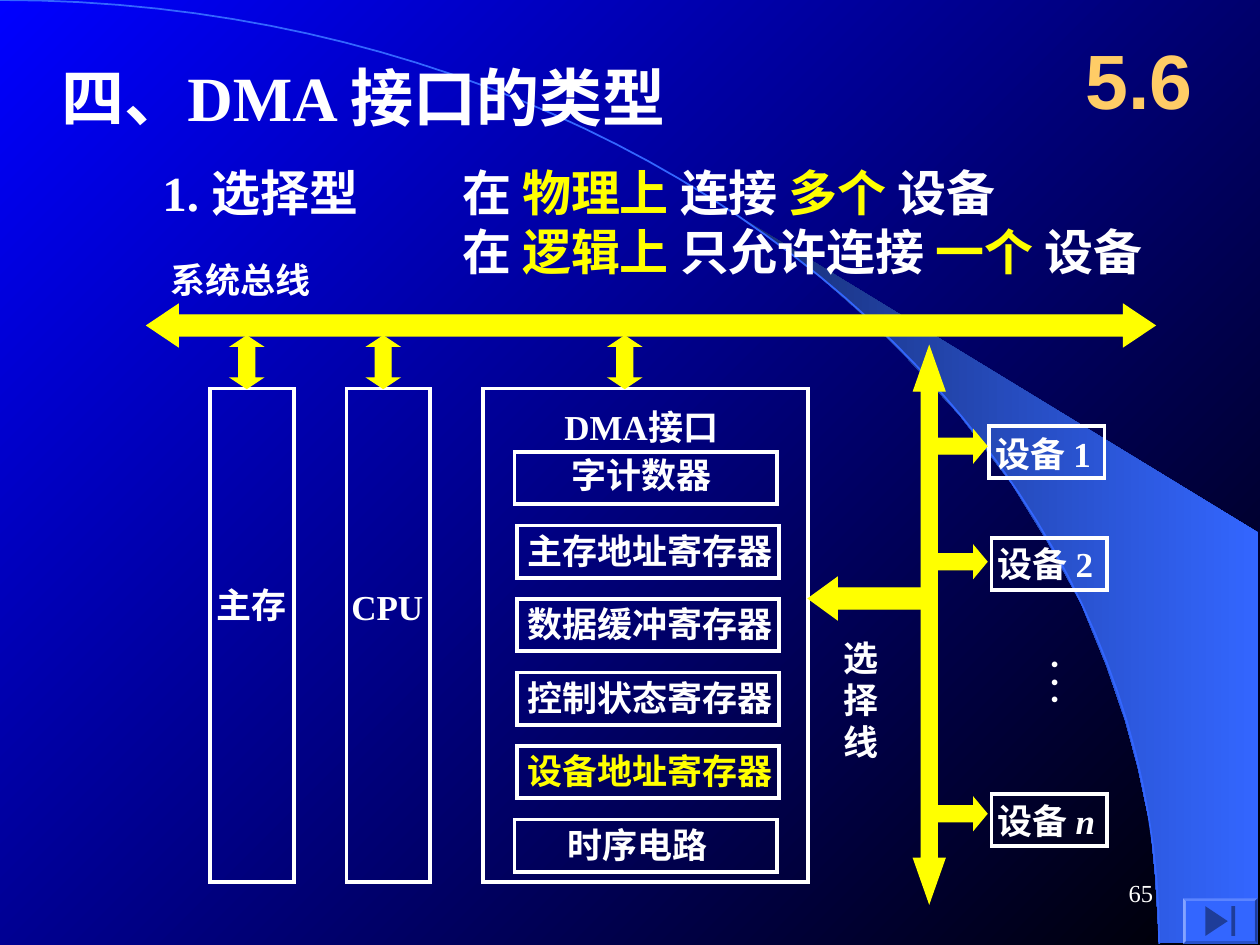
"""Build the slide on the selector type of DMA interface."""
from lxml import etree
from pptx import Presentation
from pptx.dml.color import RGBColor
from pptx.enum.shapes import MSO_SHAPE
from pptx.enum.text import MSO_ANCHOR, MSO_AUTO_SIZE, PP_ALIGN
from pptx.oxml.ns import qn
from pptx.util import Pt

RECT, BEVEL = MSO_SHAPE.RECTANGLE, MSO_SHAPE.BEVEL
LEFT_RIGHT, UP_DOWN = MSO_SHAPE.LEFT_RIGHT_ARROW, MSO_SHAPE.UP_DOWN_ARROW
LEFT, RIGHT = MSO_SHAPE.LEFT_ARROW, MSO_SHAPE.RIGHT_ARROW
END_BUTTON = MSO_SHAPE.ACTION_BUTTON_END
MIDDLE = MSO_ANCHOR.MIDDLE
AL_LEFT, AL_CENTER, AL_RIGHT = PP_ALIGN.LEFT, PP_ALIGN.CENTER, PP_ALIGN.RIGHT
GROW = MSO_AUTO_SIZE.SHAPE_TO_FIT_TEXT

WHITE, YELLOW, BLUE, GOLD = "FFFFFF", "FFFF00", "3366FF", "FFCC66"
SERIF = "Times New Roman"

BAND = [(662.4, 538.6), (719.3, 539.3), (719.3, 304.6), (424.1, 124.6),
        (449.3, 143.3), (470.2, 159.8), (493.2, 180), (515.5, 201.6),
        (548.6, 237.6), (578.2, 276.5), (599, 310.3), (617.8, 344.9),
        (632.2, 380.2), (643, 411.8), (650.2, 438.5), (657.4, 472.3),
        (660.2, 501.1)]
ARC = [(0, 0), (365.8, 0), (662.4, 241.2), (662.4, 539.3)]

SUMMARY = [
    [("在 ", WHITE), ("物理上 ", YELLOW), ("连接 ", WHITE),
     ("多个 ", YELLOW), ("设备", WHITE)],
    [("在 ", WHITE), ("逻辑上 ", YELLOW), ("只允许连接 ", WHITE),
     ("一个 ", YELLOW), ("设备", WHITE)],
]
LABELS = [
    (["四、DMA 接口的类型"], 28, 30.2, 382, 50.4, 36),
    (["1. 选择型"], 85.7, 89.3, 136, 41, 28),
    (["DMA接口"], 315.4, 228.2, 110, 31.7, 20),
    (["CPU"], 193.7, 331.2, 58, 31.7, 20),
    (["主存"], 116.6, 329.8, 57, 31.7, 20),
    (["选", "择", "线"], 475.2, 360, 36, 79.2, 20),
    (["系统总线"], 90.5, 144, 97, 31.7, 20),
]
REGISTERS = [
    ("字计数器", 294, 319.5, 255.6, 97, WHITE),
    ("主存地址寄存器", 295.2, 294.3, 298.8, 157, WHITE),
    ("数据缓冲寄存器", 295.2, 294.3, 340.6, 157, WHITE),
    ("控制状态寄存器", 295.2, 294.3, 383, 157, WHITE),
    ("设备地址寄存器", 295.2, 294.3, 424.8, 157, YELLOW),
    ("时序电路", 294, 317.2, 467.3, 97, WHITE),
]
DEVICES = [
    ("1", 565.2, 243.4, 243.4, 246),
    ("2", 566.6, 307.4, 306.7, 312),
    ("n", 566.6, 453.6, 453.6, 456),
]
UNITS = [(120, 48), (198, 48), (276, 186)]
ARROWS = [(LEFT_RIGHT, 84, 174, 576, 24, 0.745)]
ARROWS += [(UP_DOWN, x, 192, 18, 30, 0.332) for x in (132, 210, 348)]
ARROWS += [(UP_DOWN, 522, 198, 18, 318, 1.418)]
ARROWS += [(RIGHT, 534, d[4], 30, 18, 0.417) for d in DEVICES]
ARROWS += [(LEFT, 462, 330, 66, 24, 0.688)]


def rgb(color):
    return RGBColor.from_string(color)


def gradient(fill, colors, angle):
    fill.gradient()
    fill.gradient_angle = angle
    for stop, color in zip(fill.gradient_stops, colors):
        stop.color.rgb = rgb(color)


def style(sp, fill=None, line=None, width=1):
    sp.shadow.inherit = False
    if fill:
        sp.fill.solid()
        sp.fill.fore_color.rgb = rgb(fill)
    else:
        sp.fill.background()
    if line:
        sp.line.color.rgb = rgb(line)
        sp.line.width = Pt(width)
        ln = sp._element.spPr.find(qn("a:ln"))
        etree.SubElement(ln, qn("a:miter")).set("lim", "800000")
    else:
        sp.line.fill.background()


def add_shape(s, kind, x, y, w, h, **look):
    sp = s.shapes.add_shape(kind, Pt(x), Pt(y), Pt(w), Pt(h))
    style(sp, **look)
    return sp


def add_frame(s, x, y, w, h):
    add_shape(s, RECT, x, y, w, h, line=WHITE, width=2.25)


def add_arrow(s, kind, x, y, w, h, head):
    sp = add_shape(s, kind, x, y, w, h, fill=YELLOW, line=YELLOW, width=0.75)
    guides = [("adj1", 50000), ("adj2", round(head * 100000))]
    sp._element.prstGeom.rewrite_guides(guides)


def add_path(s, points, close):
    builder = s.shapes.build_freeform(Pt(points[0][0]), Pt(points[0][1]))
    builder.add_line_segments([(Pt(x), Pt(y)) for x, y in points[1:]], close)
    return builder.convert_to_shape()


def add_text(s, paras, x, y, w, h, size, color=WHITE, font=SERIF, bold=True,
             align=AL_LEFT, wrap=False):
    tf = s.shapes.add_textbox(Pt(x), Pt(y), Pt(w), Pt(h)).text_frame
    tf.word_wrap = wrap
    if not wrap:
        tf.auto_size = GROW
    for i, runs in enumerate(paras):
        p = tf.add_paragraph() if i else tf.paragraphs[0]
        p.alignment = align
        p.font.name, p.font.size, p.font.bold = font, Pt(size), bold
        p.font.color.rgb = rgb(color)
        for text, run_color in [(runs, color)] if isinstance(runs, str) else runs:
            r = p.add_run()
            r.text = text
            if run_color != color:
                r.font.color.rgb = rgb(run_color)
    return tf


def bezier(points, steps=48):
    for i in range(steps + 1):
        t = i / steps
        weights = ((1 - t) ** 3, 3 * t * (1 - t) ** 2, 3 * t * t * (1 - t), t ** 3)
        yield tuple(sum(k * c for k, c in zip(weights, axis))
                    for axis in zip(*points))


def add_backdrop(s):
    gradient(s.background.fill, ("0000FF", "000000"), 315)
    band = add_path(s, BAND, True)
    style(band)
    gradient(band.fill, ("182F76", BLUE), 0)
    style(add_path(s, list(bezier(ARC)), False), line=BLUE)


def add_diagram(s):
    for i, (text, box_x, x, y, w, color) in enumerate(REGISTERS):
        add_text(s, [text], x, y, w, 31.7, 20, color)
        add_frame(s, box_x, 258.3 + 42 * i, 150, 30)
    for x, w in UNITS:
        add_frame(s, x, 222, w, 282)
    for name, x, y, text_y, _ in DEVICES:
        tf = add_text(s, [[("设备 ", WHITE), (name, WHITE)]],
                      x - 3.6, text_y, 79, 31.7, 20)
        if name == "n":
            tf.paragraphs[0].runs[1].font.italic = True
        add_frame(s, x, y, 66, 30)
    for arrow in ARROWS:
        add_arrow(s, *arrow)
    tf = add_text(s, [". . ."], 586.8, 370.3, 38.2, 39, 20)
    tf.margin_left = tf.margin_right = Pt(3.6)
    tf.margin_top = tf.margin_bottom = Pt(7.2)
    tf._txBody.bodyPr.set("vert", "eaVert")


def main():
    prs = Presentation()
    prs.slide_width, prs.slide_height = Pt(720), Pt(540)
    s = prs.slides.add_slide(prs.slide_layouts[6])
    add_backdrop(s)
    add_diagram(s)
    for label in LABELS:
        add_text(s, *label)
    add_text(s, SUMMARY, 257, 89.3, 439.2, 74.9, 28, wrap=True)
    tf = add_text(s, ["5.6"], 606, 12, 90, 66, 44, GOLD, "Arial",
                  align=AL_CENTER, wrap=True)
    tf.vertical_anchor = MIDDLE
    bevel = add_shape(s, BEVEL, 676.1, 513.4, 42.5, 25.9, fill=BLUE)
    bevel.adjustments[0] = 0.06
    add_shape(s, END_BUTTON, 677.7, 515, 39.3, 22.7, fill=BLUE)
    tf = add_text(s, ["65"], 516, 492, 150, 36, 14, bold=False,
                  align=AL_RIGHT, wrap=True)
    tf.vertical_anchor = MIDDLE
    prs.save("out.pptx")


if __name__ == "__main__":
    main()
